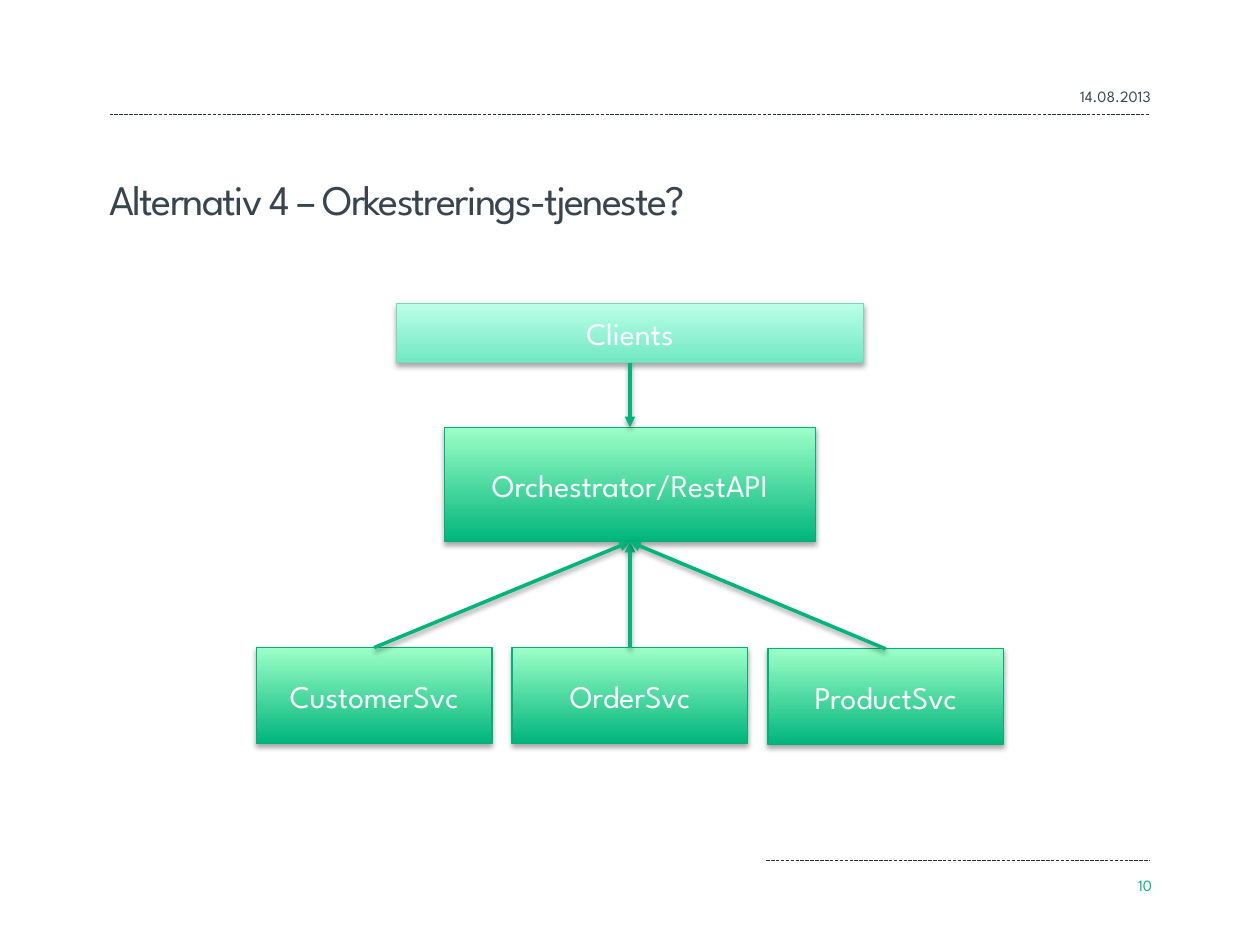
import pptx
import pptx.util
import pptx.dml.color
import pptx.enum.dml
import pptx.enum.shapes
import pptx.enum.text
import pptx.oxml
import pptx.oxml.ns

Inches, Pt = pptx.util.Inches, pptx.util.Pt
RGB = pptx.dml.color.RGBColor.from_string
ALIGN, ANCHOR = pptx.enum.text.PP_ALIGN, pptx.enum.text.MSO_ANCHOR
STRAIGHT = pptx.enum.shapes.MSO_CONNECTOR.STRAIGHT
RECT = pptx.enum.shapes.MSO_SHAPE.RECTANGLE
NS = pptx.oxml.ns.nsdecls("a")

THEME = {
    "font": "League Spartan", "title": 24, "body": 18, "small": 9,
    "text": "38454F", "rule": "2D3237", "accent": "00B57C", "white": "FFFFFF",
    "service": ("00B57C", "9CFFC8", "00B179"),
    "client": ("71E8C3", "BBFFE7", "7AD7BB"),
}


def write(sp, text, size, color, align, anchor):
    tf = sp.text_frame
    tf.word_wrap = True
    tf.vertical_anchor = anchor
    tf.text = text
    p = tf.paragraphs[0]
    p.alignment = align
    r = p.runs[0]
    r.font.name = THEME["font"]
    r.font.size = Pt(THEME[size])
    r.font.color.rgb = RGB(THEME[color])
    return r


def set_shadow(sp, alpha, dist):
    sp.shadow.inherit = False
    effects = sp._element.spPr.find(pptx.oxml.ns.qn("a:effectLst"))
    effects.append(pptx.oxml.parse_xml(
        f'<a:outerShdw {NS} blurRad="{Pt(3.1)}" dist="{Pt(dist)}" dir="5400000" rotWithShape="0">'
        f'<a:srgbClr val="000000"><a:alpha val="{alpha * 1000}"/></a:srgbClr></a:outerShdw>'))


prs = pptx.Presentation()
prs.slide_width, prs.slide_height = Inches(10), Inches(7.5)
s = prs.slides.add_slide(prs.slide_layouts[6])
center = prs.slide_width / 2

for left, top in ((0.87, 0.91), (6.08, 6.83)):
    rule = s.shapes.add_connector(STRAIGHT, Inches(left), Inches(top), Inches(9.13), Inches(top))
    rule.line.color.rgb = RGB(THEME["rule"])
    rule.line.width = Pt(0.25)
    rule.line.dash_style = pptx.enum.dml.MSO_LINE.LONG_DASH
    rule._element.spPr.append(pptx.oxml.parse_xml(f"<a:effectLst {NS}/>"))

labels = (
    ("Alternativ 4 – Orkestrerings-tjeneste?", (0.77, 1.13, 8.47, 0.7), "title", "text", ALIGN.LEFT),
    ("14.08.2013", (7.92, 0.49, 1.31, 0.4), "small", "text", ALIGN.RIGHT),
    ("10", (8.82, 6.75, 0.42, 0.4), "small", "accent", ALIGN.RIGHT),
)
for text, box, size, color, align in labels:
    sp = s.shapes.add_textbox(*map(Inches, box))
    r = write(sp, text, size, color, align, ANCHOR.BOTTOM)
    if size == "title":
        r._r.get_or_add_rPr().set("spc", "-100")

column = 2.03
nodes = (
    ("CustomerSvc", -column, 5.14, 1.87, 0.76, "service"),
    ("OrderSvc", 0, 5.14, 1.87, 0.76, "service"),
    ("ProductSvc", column, 5.15, 1.87, 0.76, "service"),
    ("Orchestrator/RestAPI", 0, 3.39, 2.95, 0.91, "service"),
    ("Clients", 0, 2.41, 3.71, 0.47, "client"),
)
boxes = {}
for text, offset, top, width, height, style in nodes:
    left = int(center + Inches(offset) - Inches(width) / 2)
    sp = s.shapes.add_shape(RECT, left, Inches(top), Inches(width), Inches(height))
    dark, light, border = THEME[style]
    sp.fill.gradient()
    sp.fill.gradient_angle = 90
    for stop, position, color in zip(sp.fill.gradient_stops, (0, 1), (dark, light)):
        stop.position = position
        stop.color.rgb = RGB(color)
    sp.line.color.rgb = RGB(border)
    sp.line.width = Pt(0.75)
    set_shadow(sp, 35, 1.8)
    write(sp, text, "body", "white", ALIGN.CENTER, ANCHOR.MIDDLE)
    boxes[text] = sp

TOP, BOTTOM = 0, 2
links = [("Clients", BOTTOM, "Orchestrator/RestAPI", TOP)]
links += [(name, TOP, "Orchestrator/RestAPI", BOTTOM)
          for name in ("CustomerSvc", "OrderSvc", "ProductSvc")]
for source, start, target, end in links:
    arrow = s.shapes.add_connector(STRAIGHT, 0, 0, 0, 0)
    arrow.begin_connect(boxes[source], start)
    arrow.end_connect(boxes[target], end)
    arrow.line.color.rgb = RGB(THEME["accent"])
    arrow.line.width = Pt(2)
    arrow.line._get_or_add_ln().append(pptx.oxml.parse_xml(f'<a:tailEnd {NS} type="triangle"/>'))
    arrow._element.spPr.append(pptx.oxml.parse_xml(
        f'<a:effectLst {NS}><a:outerShdw blurRad="{Pt(3.1)}" dist="{Pt(1.6)}" dir="5400000" rotWithShape="0">'
        '<a:srgbClr val="000000"><a:alpha val="38000"/></a:srgbClr></a:outerShdw></a:effectLst>'))

prs.save("out.pptx")
